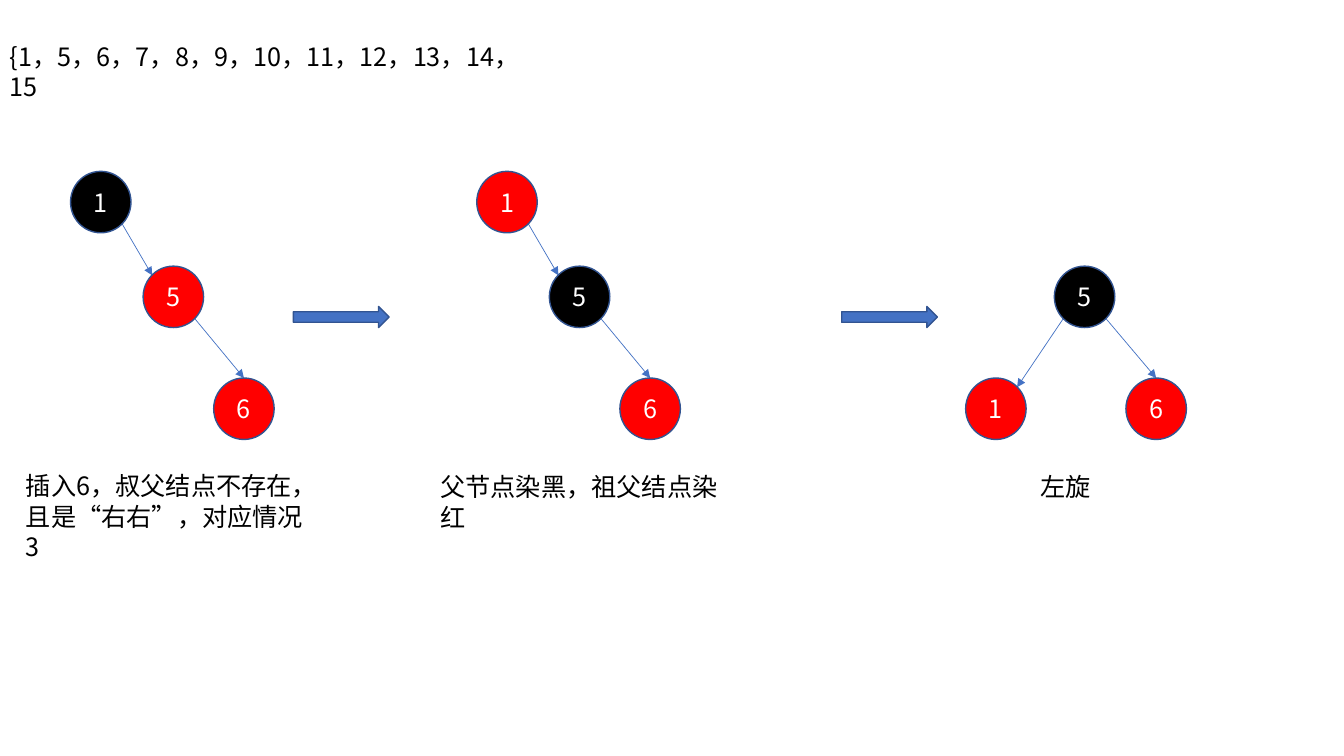
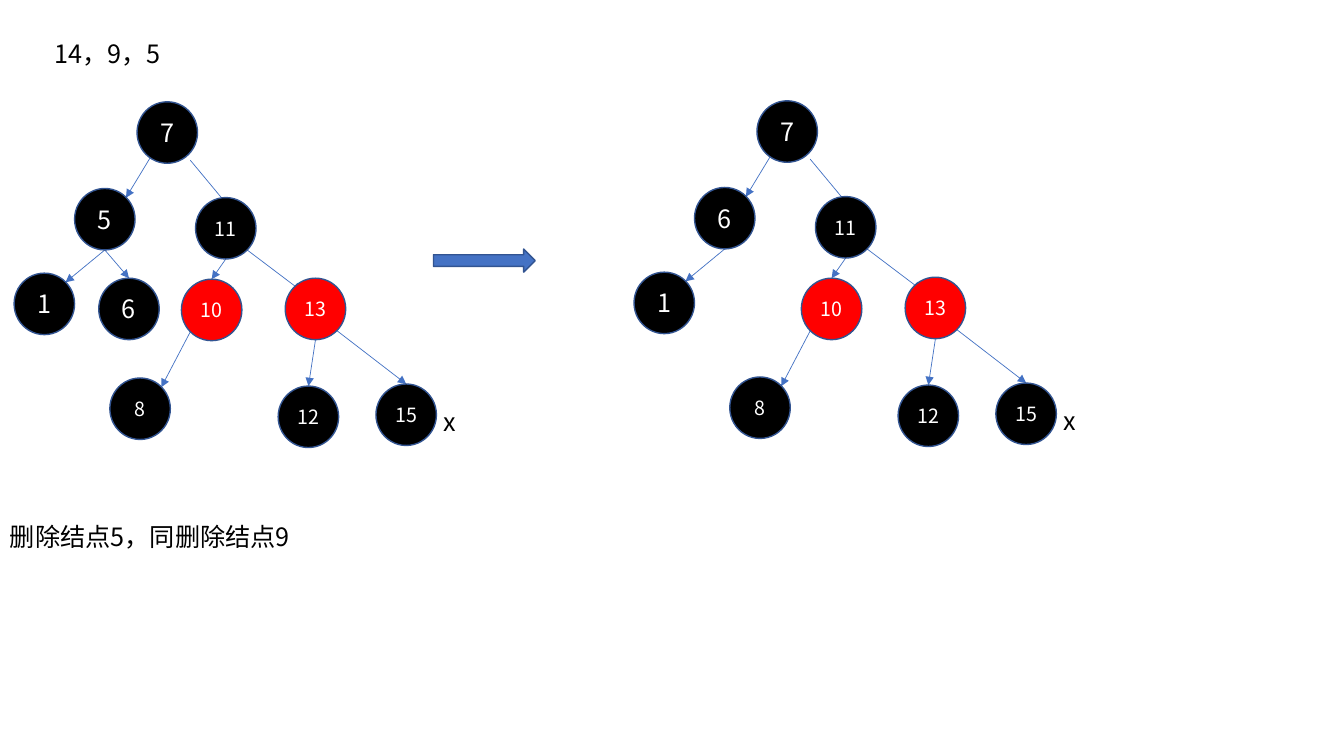
from dataclasses import dataclass, replace

from lxml import etree
from pptx import Presentation
from pptx.dml import color as dml
from pptx.enum import shapes, text
from pptx.oxml import ns
from pptx.util import Inches, Pt

COLORS = {
    "black": "000000",
    "red": "FF0000",
    "white": "FFFFFF",
    "blue": "4472C4",
    "outline": "325491",
}
FONT = "Noto Sans CJK SC"
CELL = Inches(0.1)
COLUMNS, ROWS = 133.33, 75
NODE_W, NODE_H = 6, 6.1
LARGE, SMALL = 18, 14

SITES = {
    "top": (0.5, 0),
    "top left": (0.15, 0.15),
    "top right": (0.85, 0.15),
    "bottom": (0.5, 1),
    "bottom left": (0.15, 0.85),
    "bottom right": (0.85, 0.85),
    "center": (0.5, 0.45),
    "below right": (0.88, 0.95),
    "inside right": (0.73, 0.36),
    "inside left": (0.27, 0.21),
}


@dataclass(frozen=True)
class Node:
    label: str
    col: float
    row: float
    fill: str = "black"
    size: int = LARGE


@dataclass(frozen=True)
class Link:
    parent: str
    child: str
    start: str
    end: str


@dataclass(frozen=True)
class Tree:
    nodes: tuple[Node, ...]
    links: tuple[Link, ...]

    def recolor(self, fills: dict[str, str]) -> "Tree":
        nodes = tuple(replace(n, fill=fills.get(n.label, n.fill)) for n in self.nodes)
        return replace(self, nodes=nodes)


@dataclass(frozen=True)
class Box:
    col: float
    row: float
    width: float
    height: float


@dataclass(frozen=True)
class Caption:
    words: str
    box: Box


CHAIN = Tree(
    (Node("1", 0, 0), Node("5", 7.2, 9.4, "red"), Node("6", 14.2, 20.5, "red")),
    (
        Link("1", "5", "bottom right", "top left"),
        Link("5", "6", "bottom right", "top"),
    ),
)
ROTATED = Tree(
    (Node("1", 0, 11.1, "red"), Node("5", 8.8, 0), Node("6", 15.9, 11.1, "red")),
    (
        Link("5", "1", "bottom left", "top right"),
        Link("5", "6", "bottom right", "top"),
    ),
)
LOWER_NODES = (
    Node("1", 1.4, 27.1),
    Node("7", 13.6, 10.1),
    Node("11", 19.4, 19.6, size=SMALL),
    Node("10", 18, 27.7, "red", SMALL),
    Node("13", 28.3, 27.6, "red", SMALL),
    Node("8", 10.9, 37.5, size=SMALL),
    Node("12", 27.6, 38.3, size=SMALL),
    Node("15", 37.3, 38.1, size=SMALL),
)
LOWER_LINKS = (
    Link("7", "11", "below right", "inside right"),
    Link("11", "10", "bottom", "top"),
    Link("11", "13", "bottom right", "inside left"),
    Link("10", "8", "bottom left", "top right"),
    Link("13", "12", "bottom", "top"),
    Link("13", "15", "bottom right", "top"),
)


def left_branch(root: str) -> tuple[Link, ...]:
    return (
        Link("7", root, "center", "top right"),
        Link(root, "1", "bottom", "top right"),
    )


BEFORE = Tree(
    LOWER_NODES + (Node("5", 7.4, 18.7), Node("6", 9.8, 27.6)),
    LOWER_LINKS + left_branch("5") + (Link("5", "6", "bottom", "top"),),
)
AFTER = Tree(
    LOWER_NODES + (Node("6", 7.4, 18.7),),
    LOWER_LINKS + left_branch("6"),
)


def grid(cells: float) -> int:
    return round(cells * CELL)


def rgb(name: str) -> dml.RGBColor:
    return dml.RGBColor.from_string(COLORS[name])


def set_text(tf, words: str, color: str, size: int = LARGE) -> None:
    tf.text = words
    for r in tf.paragraphs[0].runs:
        r.font.size = Pt(size)
        r.font.color.rgb = rgb(color)
        r.font.name = FONT
        etree.SubElement(r.font._element, ns.qn("a:ea"), typeface=FONT)


def add_filled(s, kind: shapes.MSO_SHAPE, box: Box, fill: str):
    sp = s.shapes.add_shape(
        kind, grid(box.col), grid(box.row), grid(box.width), grid(box.height)
    )
    sp.shadow.inherit = False
    sp.fill.solid()
    sp.fill.fore_color.rgb = rgb(fill)
    sp.line.color.rgb = rgb("outline")
    sp.line.width = Pt(1)
    return sp


def add_node(s, node: Node) -> None:
    box = Box(node.col, node.row, NODE_W, NODE_H)
    sp = add_filled(s, shapes.MSO_SHAPE.FLOWCHART_CONNECTOR, box, node.fill)
    tf = sp.text_frame
    tf.margin_left = tf.margin_right = 0
    tf.vertical_anchor = text.MSO_ANCHOR.MIDDLE
    set_text(tf, node.label, "white", node.size)
    tf.paragraphs[0].alignment = text.PP_ALIGN.CENTER


def site(node: Node, name: str) -> tuple[int, int]:
    across, down = SITES[name]
    return grid(node.col + across * NODE_W), grid(node.row + down * NODE_H)


def add_link(s, start: tuple[int, int], end: tuple[int, int]) -> None:
    line = s.shapes.add_connector(shapes.MSO_CONNECTOR.STRAIGHT, *start, *end)
    line.line.color.rgb = rgb("blue")
    line.line.width = Pt(0.5)
    props = line._element.spPr
    etree.SubElement(props.find(ns.qn("a:ln")), ns.qn("a:tailEnd"), type="triangle")
    etree.SubElement(props, ns.qn("a:effectLst"))


def add_tree(s, tree: Tree, col: float = 0, row: float = 0) -> None:
    placed = {
        n.label: replace(n, col=n.col + col, row=n.row + row) for n in tree.nodes
    }
    for link in tree.links:
        add_link(
            s,
            site(placed[link.parent], link.start),
            site(placed[link.child], link.end),
        )
    for node in placed.values():
        add_node(s, node)


def add_step_arrow(s, box: Box) -> None:
    add_filled(s, shapes.MSO_SHAPE.RIGHT_ARROW, box, "blue")


def add_caption(s, caption: Caption) -> None:
    box = caption.box
    sp = s.shapes.add_textbox(
        grid(box.col), grid(box.row), grid(box.width), grid(box.height)
    )
    tf = sp.text_frame
    tf.word_wrap = True
    tf.auto_size = text.MSO_AUTO_SIZE.SHAPE_TO_FIT_TEXT
    set_text(tf, caption.words, "black")


def build_insertion(s) -> None:
    add_tree(s, CHAIN, 7, 17)
    add_tree(s, CHAIN.recolor({"1": "red", "5": "black"}), 47.3, 17)
    add_tree(s, ROTATED, 95.8, 26.4)
    for col in (29.1, 83.5):
        add_step_arrow(s, Box(col, 30.4, 9.5, 2.1))
    for caption in (
        Caption("{1，5，6，7，8，9，10，11，12，13，14，15", Box(0, 3.6, 54.5, 4)),
        Caption(
            "插入6，叔父结点不存在，且是“右右”，对应情况3", Box(1.6, 46.2, 29.6, 7.1)
        ),
        Caption("父节点染黑，祖父结点染红", Box(42.7, 46.3, 29.6, 7.1)),
        Caption("左旋", Box(102.2, 46.3, 29.6, 4)),
    ):
        add_caption(s, caption)


def build_deletion(s) -> None:
    for tree, col, row in ((BEFORE, 0, 0), (AFTER, 61.5, -0.1)):
        add_tree(s, tree, col, row)
        add_caption(s, Caption("x", Box(43 + col, 39.8 + row, 3.4, 4)))
    add_step_arrow(s, Box(43, 24.7, 10.1, 2.3))
    add_caption(s, Caption("14，9，5", Box(4.4, 3.3, 27, 4)))
    add_caption(s, Caption("删除结点5，同删除结点9", Box(0, 51.2, 46.6, 4)))


def main() -> None:
    prs = Presentation()
    prs.slide_width, prs.slide_height = grid(COLUMNS), grid(ROWS)
    for build in (build_insertion, build_deletion):
        build(prs.slides.add_slide(prs.slide_layouts[6]))
    prs.save("out.pptx")


if __name__ == "__main__":
    main()
